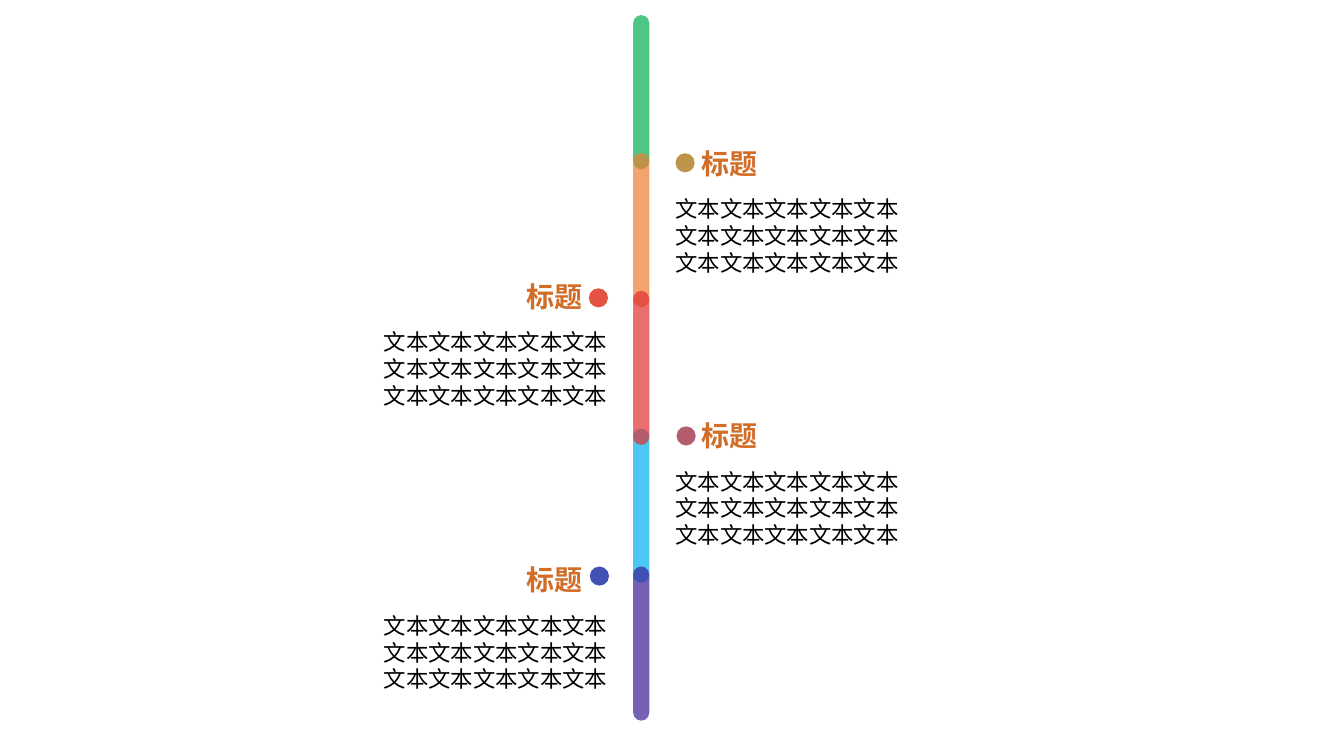
from typing import NamedTuple

from lxml.etree import SubElement
from pptx import Presentation
from pptx.dml.color import RGBColor
from pptx.enum.shapes import MSO_SHAPE
from pptx.enum.text import MSO_AUTO_SIZE
from pptx.oxml.ns import qn
from pptx.util import Inches, Pt

FONT = "Noto Sans CJK SC"
TITLE_COLOR = "D26D28"
BODY_LINE = "文本" * 5
OPACITY = 70
SEGMENT_TOP, SEGMENT_PITCH = 0.15, 5.47 / 4
BODY_DROP = 0.49


class Segment(NamedTuple):
    row: int
    color: str


class Side(NamedTuple):
    title_left: float
    body_left: float


class Entry(NamedTuple):
    side: Side
    title_top: float
    dot_left: float
    dot_top: float
    dot_color: str


LEFT = Side(5.12, 3.71)
RIGHT = Side(6.86, 6.6)

# Listed from back to front: the red segment overlaps the blue one
SEGMENTS = [
    Segment(0, "00B050"),
    Segment(1, "ED7D31"),
    Segment(3, "00B0F0"),
    Segment(2, "DF3133"),
    Segment(4, "3D2095"),
]
ENTRIES = [
    Entry(RIGHT, 1.4, 6.7, 1.52, "BD944A"),
    Entry(RIGHT, 4.1, 6.71, 4.23, "B45E6D"),
    Entry(LEFT, 2.72, 5.84, 2.86, "E55345"),
    Entry(LEFT, 5.53, 5.85, 5.62, "4252B2"),
]


def rgb(color: str) -> RGBColor:
    return RGBColor.from_string(color)


def add_filled(slide, kind: MSO_SHAPE, left: float, top: float,
               width: float, height: float, color: str):
    shape = slide.shapes.add_shape(
        kind, Inches(left), Inches(top), Inches(width), Inches(height))
    shape.shadow.inherit = False
    shape.fill.solid()
    shape.fill.fore_color.rgb = rgb(color)
    shape.line.fill.background()
    return shape


def add_segment(slide, segment: Segment) -> None:
    top = SEGMENT_TOP + segment.row * SEGMENT_PITCH
    shape = add_filled(slide, MSO_SHAPE.ROUNDED_RECTANGLE,
                       6.28, top, 0.16, 1.53, segment.color)
    shape.adjustments[0] = 0.5
    color_element = shape.fill._xPr.find(qn("a:solidFill"))[0]
    SubElement(color_element, qn("a:alpha"), val=str(OPACITY * 1000))


def add_text(slide, left: float, top: float, width: float, height: float,
             lines: list[str], size: int, color: str, bold: bool = False) -> None:
    box = slide.shapes.add_textbox(
        Inches(left), Inches(top), Inches(width), Inches(height))
    frame = box.text_frame
    frame.word_wrap = False
    frame.auto_size = MSO_AUTO_SIZE.SHAPE_TO_FIT_TEXT
    frame.text = "\n".join(lines)
    for paragraph in frame.paragraphs:
        font = paragraph.font
        font.name = FONT
        font.size = Pt(size)
        font.bold = bold
        font.color.rgb = rgb(color)


def add_entry(slide, entry: Entry) -> None:
    add_filled(slide, MSO_SHAPE.OVAL, entry.dot_left, entry.dot_top,
               0.19, 0.19, entry.dot_color)
    add_text(slide, entry.side.title_left, entry.title_top, 0.76, 0.44,
             ["标题"], 20, TITLE_COLOR, bold=True)
    add_text(slide, entry.side.body_left, entry.title_top + BODY_DROP, 2.45, 1.21,
             [BODY_LINE] * 3, 16, "000000")


def main() -> None:
    presentation = Presentation()
    presentation.slide_width = Inches(13.33)
    presentation.slide_height = Inches(7.5)
    slide = presentation.slides.add_slide(presentation.slide_layouts[6])

    # Central timeline bar
    for segment in SEGMENTS:
        add_segment(slide, segment)

    # Dots with titles and text
    for entry in ENTRIES:
        add_entry(slide, entry)

    presentation.save("out.pptx")


if __name__ == "__main__":
    main()
